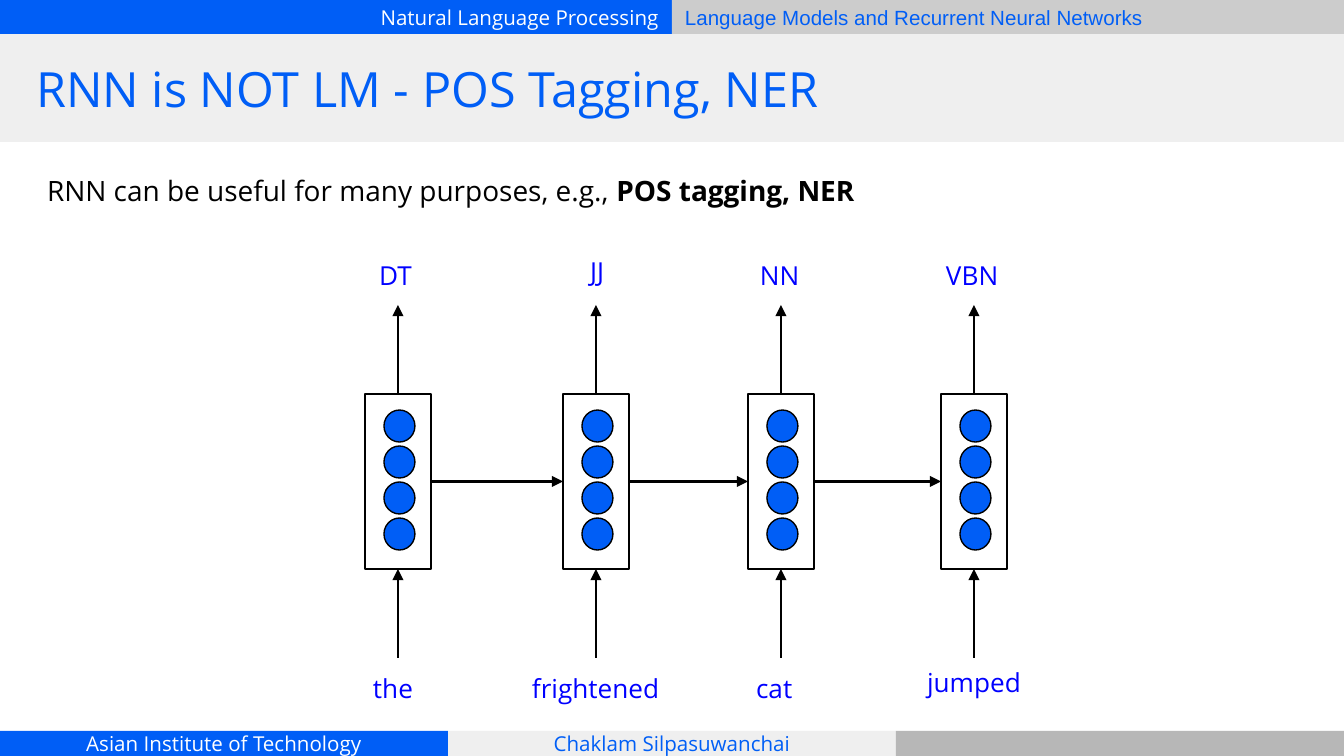
import dataclasses
import itertools
import typing

import lxml.etree
import pptx
import pptx.dml.color
import pptx.enum.shapes
import pptx.enum.text
import pptx.oxml.ns
import pptx.util

RGBColor = pptx.dml.color.RGBColor
ALIGN = pptx.enum.text.PP_ALIGN
ANCHOR = pptx.enum.text.MSO_ANCHOR
SHAPE = pptx.enum.shapes.MSO_SHAPE
qn = pptx.oxml.ns.qn

BLUE = RGBColor(0x00, 0x5E, 0xF6)
WORD_BLUE = RGBColor(0x00, 0x00, 0xFF)
BLACK = RGBColor(0x00, 0x00, 0x00)
WHITE = RGBColor(0xFF, 0xFF, 0xFF)
PALE_GREY = RGBColor(0xEF, 0xEF, 0xEF)
LIGHT_GREY = RGBColor(0xCC, 0xCC, 0xCC)
MID_GREY = RGBColor(0xB7, 0xB7, 0xB7)

EMU_PER_PX = 914400 / 134.4
SANS = "Open Sans"
INSET = 13
CELL_TOP, CELL_WIDTH, CELL_HEIGHT = 394, 66, 175
UNIT_LEFT, UNIT_TOP, UNIT_WIDTH, UNIT_HEIGHT, UNIT_STEP = 19, 16, 31, 32, 36
UNIT_COUNT = 4
TAG_ARROW_END, WORD_ARROW_START = 305, 658
LABEL_HEIGHT = 59


@dataclasses.dataclass(frozen=True)
class Bar:
    left: int
    top: int
    width: int
    height: int
    fill: RGBColor
    text: str = ""
    color: RGBColor = WHITE
    align: ALIGN = ALIGN.CENTER
    font: str = SANS


@dataclasses.dataclass(frozen=True)
class Label:
    text: str
    left: int
    top: int
    width: int


@dataclasses.dataclass(frozen=True)
class Step:
    left: int
    tag: Label
    word: Label


BARS = (
    Bar(0, 0, 672, 34, BLUE, "Natural Language Processing", align=ALIGN.RIGHT),
    Bar(672, 0, 672, 34, LIGHT_GREY, "Language Models and Recurrent Neural Networks",
        BLUE, ALIGN.LEFT, "Arial"),
    Bar(0, 731, 448, 25, BLUE, "Asian Institute of Technology"),
    Bar(448, 731, 448, 25, PALE_GREY, "Chaklam Silpasuwanchai", BLUE),
    Bar(896, 731, 448, 25, MID_GREY),
    Bar(0, 34, 1344, 108, PALE_GREY),
)

STEPS = (
    Step(365, Label("DT", 366, 246, 75), Label("the", 360, 659, 85)),
    Step(563, Label("JJ", 577, 242, 75), Label("frightened", 519, 659, 156)),
    Step(748, Label("NN", 747, 246, 75), Label("cat", 743, 659, 75)),
    Step(941, Label("VBN", 933, 246, 85), Label("jumped", 914, 653, 128)),
)


def px(length: int) -> int:
    return round(length * EMU_PER_PX)


def apply_format(target: typing.Any, values: dict[str, typing.Any]) -> None:
    for name, value in values.items():
        setattr(target, name, value)


def place(shape, left: int, top: int, width: int, height: int) -> None:
    apply_format(shape, {"left": px(left), "top": px(top),
                         "width": px(width), "height": px(height)})


def format_frame(frame, anchor: ANCHOR) -> None:
    apply_format(frame, {
        "margin_left": px(INSET), "margin_right": px(INSET),
        "margin_top": px(INSET), "margin_bottom": px(INSET),
        "word_wrap": True, "vertical_anchor": anchor,
        "auto_size": pptx.enum.text.MSO_AUTO_SIZE.NONE,
    })


def add_span(para, text: str, size: int, color: RGBColor,
             font: str = SANS, bold: bool = False) -> None:
    span = para.add_run()
    span.text = text
    apply_format(span.font, {"name": font, "size": pptx.util.Pt(size), "bold": bold})
    span.font.color.rgb = color


def add_shape(page, kind: SHAPE, left: int, top: int, width: int, height: int,
              fill: RGBColor | None, line: RGBColor | None):
    shape = page.shapes.add_shape(kind, px(left), px(top), px(width), px(height))
    shape.shadow.inherit = False
    if fill is None:
        shape.fill.background()
    else:
        shape.fill.solid()
        shape.fill.fore_color.rgb = fill
    if line is None:
        shape.line.fill.background()
    else:
        shape.line.color.rgb = line
        shape.line.width = pptx.util.Pt(0.75)
    return shape


def add_bar(page, bar: Bar) -> None:
    box = add_shape(page, SHAPE.RECTANGLE, bar.left, bar.top, bar.width, bar.height,
                    bar.fill, None)
    if bar.text:
        format_frame(box.text_frame, ANCHOR.MIDDLE)
        para = box.text_frame.paragraphs[0]
        para.alignment = bar.align
        add_span(para, bar.text, 11, bar.color, bar.font)


def add_label(page, label: Label) -> None:
    box = page.shapes.add_textbox(px(label.left), px(label.top),
                                  px(label.width), px(LABEL_HEIGHT))
    format_frame(box.text_frame, ANCHOR.TOP)
    add_span(box.text_frame.paragraphs[0], label.text, 14, WORD_BLUE)


def add_arrow(page, start: tuple[int, int], end: tuple[int, int]):
    arrow = page.shapes.add_connector(pptx.enum.shapes.MSO_CONNECTOR.STRAIGHT,
                                      *map(px, start + end))
    arrow.line.color.rgb = BLACK
    arrow.line.width = pptx.util.Pt(1.5)
    lxml.etree.SubElement(arrow.line._get_or_add_ln(), qn("a:tailEnd"), type="triangle")
    lxml.etree.SubElement(arrow.element.spPr, qn("a:effectLst"))
    return arrow


def add_cell(page, step: Step):
    cell = add_shape(page, SHAPE.RECTANGLE, step.left, CELL_TOP, CELL_WIDTH, CELL_HEIGHT,
                     None, BLACK)
    for row in range(UNIT_COUNT):
        add_shape(page, SHAPE.OVAL, step.left + UNIT_LEFT,
                  CELL_TOP + UNIT_TOP + row * UNIT_STEP, UNIT_WIDTH, UNIT_HEIGHT, BLUE, BLACK)
    center, bottom = step.left + CELL_WIDTH // 2, CELL_TOP + CELL_HEIGHT
    add_arrow(page, (center, WORD_ARROW_START), (center, bottom)).end_connect(cell, 2)
    add_arrow(page, (center, CELL_TOP), (center, TAG_ARROW_END)).begin_connect(cell, 0)
    add_label(page, step.tag)
    add_label(page, step.word)
    return cell


def fill_title(page) -> None:
    title = page.shapes.title
    page.shapes.element.append(title.element)
    place(title, 23, 34, 1300, 108)
    format_frame(title.text_frame, ANCHOR.MIDDLE)
    para = title.text_frame.paragraphs[0]
    para.alignment = ALIGN.LEFT
    add_span(para, "RNN is NOT LM - POS Tagging, NER", 26, BLUE)


def fill_body(page) -> None:
    body = page.placeholders[1]
    place(body, 34, 160, 1288, 87)
    format_frame(body.text_frame, ANCHOR.TOP)
    para = body.text_frame.paragraphs[0]
    properties = para._p.get_or_add_pPr()
    apply_format(para, {"alignment": ALIGN.LEFT, "space_before": pptx.util.Pt(0)})
    properties.set("marL", "0")
    properties.set("indent", "0")
    lxml.etree.SubElement(properties, qn("a:buNone"))
    add_span(para, "RNN can be useful for many purposes, e.g., ", 15, BLACK)
    add_span(para, "POS tagging, NER", 15, BLACK, bold=True)


def main() -> None:
    deck = pptx.Presentation()
    apply_format(deck, {"slide_width": px(1344), "slide_height": px(756)})
    page = deck.slides.add_slide(deck.slide_layouts[1])
    for bar in BARS:
        add_bar(page, bar)
    fill_title(page)
    fill_body(page)
    cells = [add_cell(page, step) for step in STEPS]
    for source, target in itertools.pairwise(cells):
        arrow = add_arrow(page, (0, 0), (0, 0))
        arrow.begin_connect(source, 3)
        arrow.end_connect(target, 1)
    deck.save("out.pptx")


if __name__ == "__main__":
    main()
